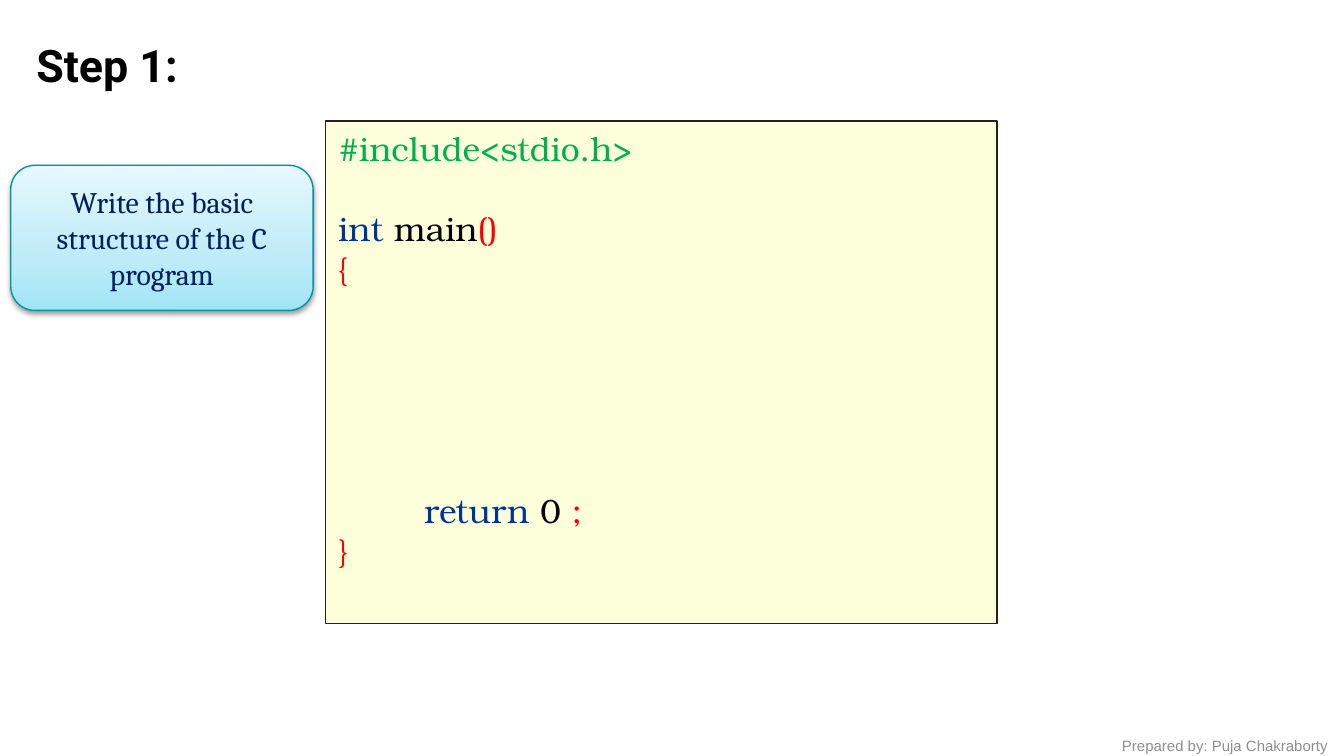
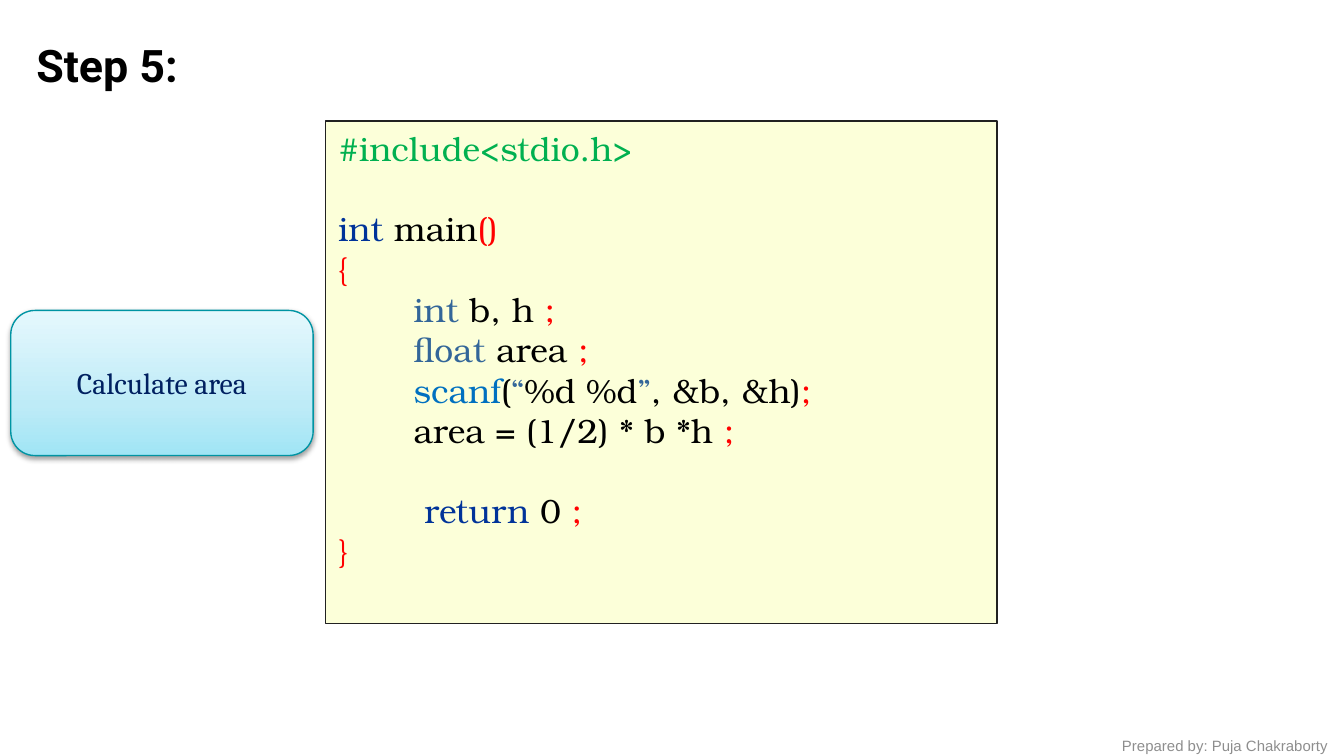
from pptx import Presentation
from pptx.dml.color import RGBColor
from pptx.enum.shapes import MSO_SHAPE
from pptx.enum.text import MSO_ANCHOR, MSO_AUTO_SIZE, PP_ALIGN
from pptx.oxml import parse_xml
from pptx.oxml.ns import nsdecls
from pptx.util import Inches, Pt

RECTANGLE, ROUNDED = MSO_SHAPE.RECTANGLE, MSO_SHAPE.ROUNDED_RECTANGLE
TOP, MIDDLE = MSO_ANCHOR.TOP, MSO_ANCHOR.MIDDLE
LEFT, CENTER = PP_ALIGN.LEFT, PP_ALIGN.CENTER
NO_AUTOFIT = MSO_AUTO_SIZE.NONE
TITLE_ONLY = 5

COLORS = {
    "plain": "000000",
    "include": "00B050",
    "keyword": "003399",
    "type": "336699",
    "call": "0070C0",
    "mark": "FF0000",
    "panel": "FCFFD9",
    "panel_edge": "212121",
    "hint": "002060",
    "hint_edge": "0094A3",
    "footer": "8E8E8E",
}
HINT_GRADIENT = [(0, "A0E5F5"), (35, "BEEBF7"), (100, "E5F8FD")]

TITLE_BOX = (0.17, 0.23, 1.67, 0.5)
CODE_BOX = (2.42, 0.9, 5, 3.74)
FOOTER_BOX = (8.25, 5.43, 1.83, 0.24)
HINT_LEFT, HINT_TOP, HINT_WIDTH, HINT_HEIGHT = 0.08, 1.23, 2.25, 1.08

CODE_LINE = 21.6
BODY_LINES = 5
STATEMENT_INDENT, RETURN_INDENT = 0.56, 0.64

END = (";", "mark")
HEADER = [("#include<stdio.h>", "include")]
MAIN = [("int", "keyword"), (" main", "plain"), ("()", "mark")]
RETURN = [("return", "keyword"), (" 0 ", "plain"), END]

AREA_STATEMENTS = [
    [("int", "type"), (" b, h ", "plain"), END],
    [("float", "type"), (" area ", "plain"), END],
    [("scanf", "call"), ("(", "plain"), ("“", "type"), ("%d %d", "plain"),
     ("”", "type"), (", &b, &h)", "plain"), END],
    [("area = (1/2) * b *h ", "plain"), END],
]

STEPS = [
    ("Step 1:", "Write the basic structure of the C program", 0, []),
    ("Step 5:", "Calculate area", 1, AREA_STATEMENTS),
]


def rgb(name):
    return RGBColor.from_string(COLORS[name])


def inches(box):
    return [Inches(length) for length in box]


def style(paragraph, font, size, color=None, bold=False, align=LEFT):
    paragraph.alignment = align
    paragraph.font.name = font
    paragraph.font.size = Pt(size)
    paragraph.font.bold = bold
    if color:
        paragraph.font.color.rgb = rgb(color)


def add_title(slide, text, box):
    title = slide.shapes.title
    title.left, title.top, title.width, title.height = inches(box)
    frame = title.text_frame
    frame.text = text
    frame.auto_size = NO_AUTOFIT
    frame.vertical_anchor = TOP
    style(frame.paragraphs[0], "Roboto", 24, "plain", bold=True)


def add_footer(slide, box):
    frame = slide.shapes.add_textbox(*inches(box)).text_frame
    frame.word_wrap = True
    frame.text = "Prepared by: Puja Chakraborty"
    style(frame.paragraphs[0], "Arial", 8, "footer")


def add_panel(slide, kind, box, edge, anchor):
    panel = slide.shapes.add_shape(kind, *inches(box))
    panel.shadow.inherit = False
    panel.line.color.rgb = rgb(edge)
    panel.line.width = Pt(0.75)
    panel.text_frame.word_wrap = True
    panel.text_frame.vertical_anchor = anchor
    return panel


def add_code(slide, statements, box):
    panel = add_panel(slide, RECTANGLE, box, "panel_edge", TOP)
    panel.fill.solid()
    panel.fill.fore_color.rgb = rgb("panel")
    blank_lines = BODY_LINES - len(statements)
    lines = [(HEADER, 0, 0), (MAIN, 0, 1), ([("{", "mark")], 0, 0)]
    lines += [(statement, STATEMENT_INDENT, 0) for statement in statements]
    lines += [(RETURN, RETURN_INDENT, blank_lines), ([("}", "mark")], 0, 0)]
    frame = panel.text_frame
    for number, (tokens, indent, gap) in enumerate(lines):
        line = frame.add_paragraph() if number else frame.paragraphs[0]
        style(line, "TeX Gyre Bonum", 18)
        line.space_before = Pt(gap * CODE_LINE)
        line._p.get_or_add_pPr().set("marL", str(Inches(indent)))
        for text, color in tokens:
            token = line.add_run()
            token.text = text
            token.font.color.rgb = rgb(color)


def add_hint(slide, text, box):
    hint = add_panel(slide, ROUNDED, box, "hint_edge", MIDDLE)
    stops = "".join(
        f'<a:gs pos="{position * 1000}"><a:srgbClr val="{color}"/></a:gs>'
        for position, color in HINT_GRADIENT)
    properties = hint._element.spPr
    properties.insert(2, parse_xml(
        f'<a:gradFill {nsdecls("a")} rotWithShape="1"><a:gsLst>{stops}</a:gsLst>'
        '<a:lin ang="16200000" scaled="0"/></a:gradFill>'))
    properties.find("{*}effectLst").append(parse_xml(
        f'<a:outerShdw {nsdecls("a")} blurRad="{Pt(3.1)}" dist="{Pt(1.6)}" '
        'dir="5400000" rotWithShape="0"><a:srgbClr val="000000">'
        '<a:alpha val="38000"/></a:srgbClr></a:outerShdw>'))
    hint.text_frame.text = text
    style(hint.text_frame.paragraphs[0], "Cambria", 16, "hint", align=CENTER)


def add_step(deck, title, hint, row, statements):
    slide = deck.slides.add_slide(deck.slide_layouts[TITLE_ONLY])
    add_footer(slide, FOOTER_BOX)
    add_code(slide, statements, CODE_BOX)
    add_title(slide, title, TITLE_BOX)
    hint_top = HINT_TOP + row * HINT_HEIGHT
    add_hint(slide, hint, (HINT_LEFT, hint_top, HINT_WIDTH, HINT_HEIGHT))


def main():
    deck = Presentation()
    deck.slide_width = Inches(10)
    deck.slide_height = Inches(10) * 9 // 16
    for step in STEPS:
        add_step(deck, *step)
    deck.save("out.pptx")


if __name__ == "__main__":
    main()
